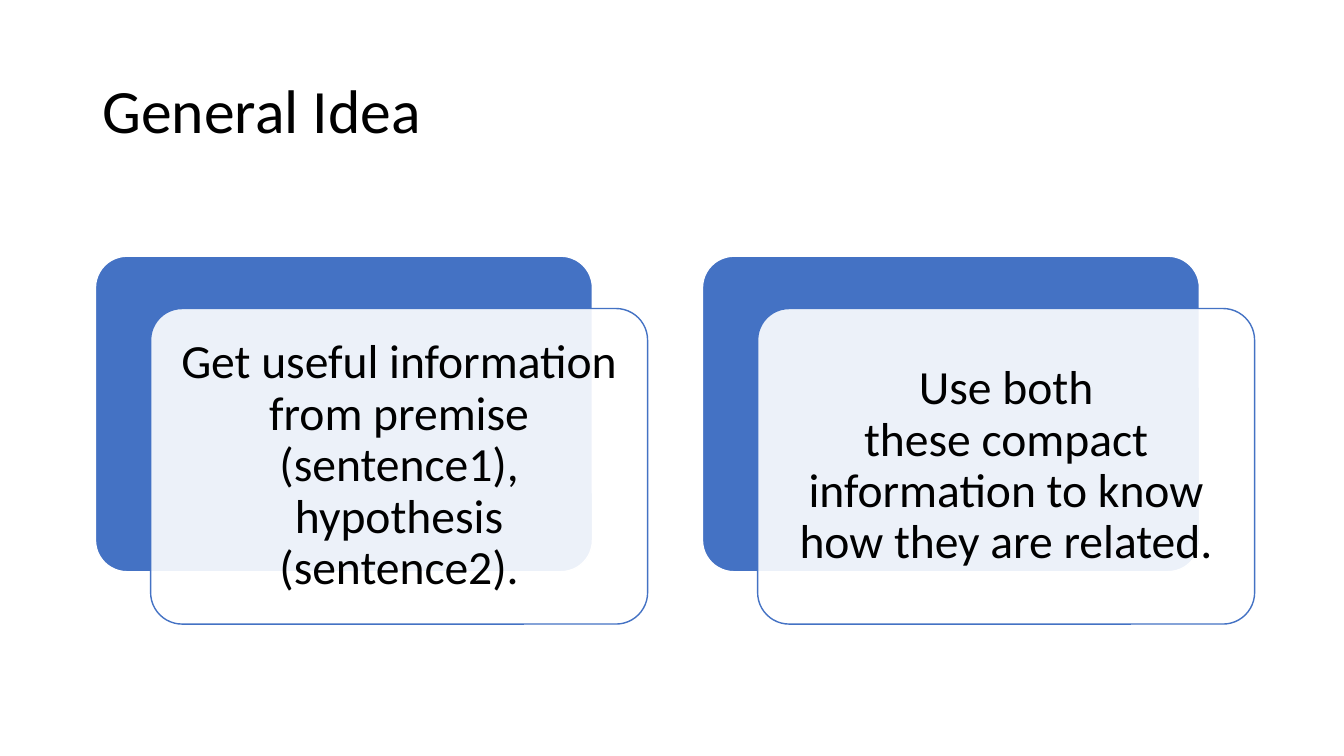
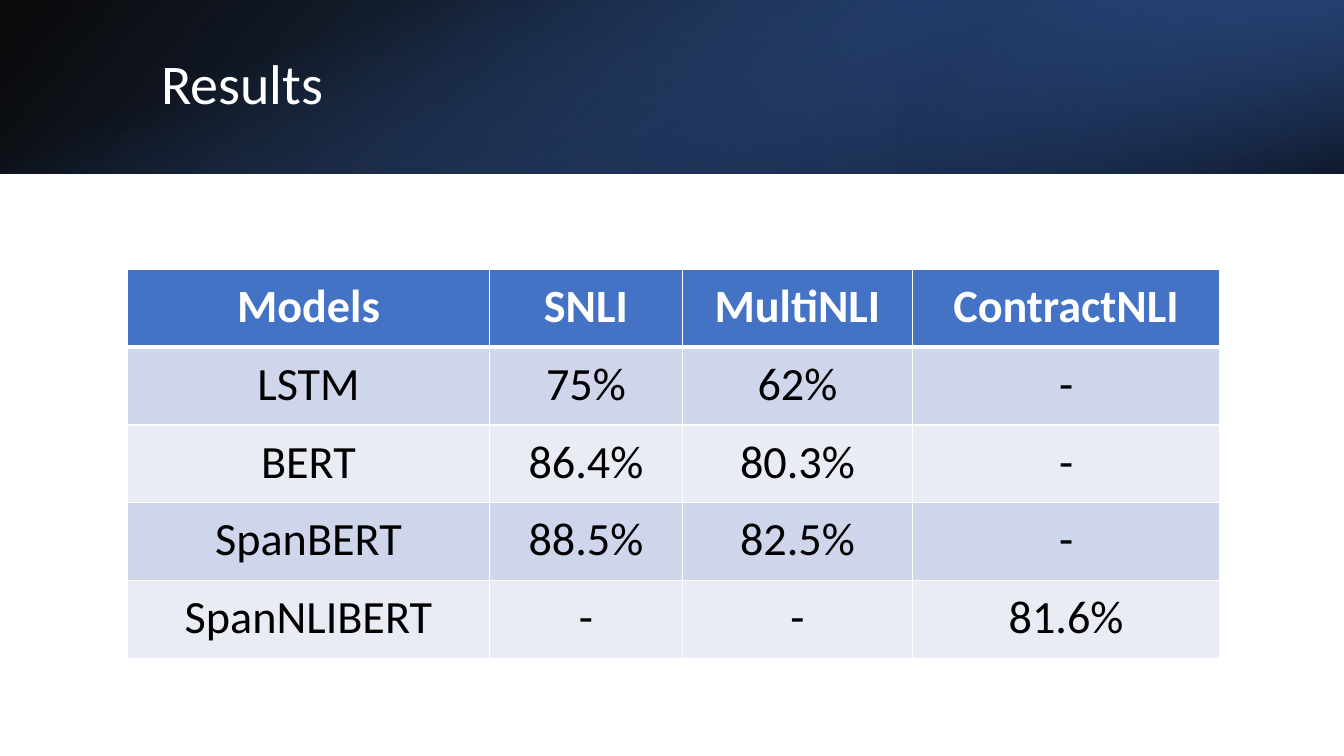
from lxml import etree
from pptx import Presentation
from pptx.dml.color import RGBColor
from pptx.enum.shapes import MSO_SHAPE
from pptx.enum.text import MSO_ANCHOR, MSO_AUTO_SIZE, PP_ALIGN
from pptx.oxml.ns import qn
from pptx.util import Pt

RECT, ROUND = MSO_SHAPE.RECTANGLE, MSO_SHAPE.ROUNDED_RECTANGLE
LEFT, CENTER = PP_ALIGN.LEFT, PP_ALIGN.CENTER
MIDDLE = MSO_ANCHOR.MIDDLE
NO_FIT = MSO_AUTO_SIZE.NONE

FONT = "Calibri"
NBSP = chr(160)
TITLE_ONLY = 5
WIDTH, HEIGHT = 960, 540
BAND_HEIGHT = 124
COLORS = {
    "black": "000000",
    "white": "FFFFFF",
    "blue": "4472C4",
    "deep": "2F5597",
    "navy": "203864",
    "row_dark": "CFD5EA",
    "row_light": "E9EBF5",
}

CARDS = [
    "Get useful information from premise (sentence1), hypothesis (sentence2).",
    f"Use both these{NBSP}compact information to know how they are related.",
]
RESULTS = [
    ["Models", "SNLI", "MultiNLI", "ContractNLI"],
    ["LSTM", "75%", "62%", "-"],
    ["BERT", "86.4%", "80.3%", "-"],
    ["SpanBERT", "88.5%", "82.5%", "-"],
    ["SpanNLIBERT", "-", "-", "81.6%"],
]
COLUMN_WIDTHS = [258.8, 137.6, 164.6, 219.2]
ROW_HEIGHT = 55.6


def rgb(name):
    return RGBColor.from_string(COLORS[name])


def add_text(tf, text, size, color="black", bold=False, align=LEFT, spacing=None):
    p = tf.paragraphs[0]
    p.alignment = align
    if spacing:
        p.line_spacing = spacing
    r = p.add_run()
    r.text = text
    r.font.name = FONT
    r.font.size = Pt(size)
    r.font.bold = bold
    r.font.color.rgb = rgb(color)


def set_title(s, text, box, size, color="black"):
    sp = s.shapes.title
    sp.left, sp.top, sp.width, sp.height = map(Pt, box)
    tf = sp.text_frame
    tf.word_wrap = True
    tf.auto_size = NO_FIT
    tf.vertical_anchor = MIDDLE
    add_text(tf, text, size, color, spacing=0.9)


def set_opacity(sp, *percents):
    for clr, percent in zip(sp.element.spPr.iter(qn("a:srgbClr")), percents):
        etree.SubElement(clr, qn("a:alpha")).set("val", str(percent * 1000))


def add_shape(s, kind, box):
    sp = s.shapes.add_shape(kind, *map(Pt, box))
    sp.shadow.inherit = False
    return sp


def add_panel(s, box, fill, line):
    sp = add_shape(s, ROUND, box)
    sp.adjustments[0] = 0.1
    sp.fill.solid()
    sp.fill.fore_color.rgb = rgb(fill)
    sp.line.color.rgb = rgb(line)
    sp.line.width = Pt(1)
    return sp


def add_card(s, left, top, text):
    width, height = 355, 225.4
    add_panel(s, (left, top, width, height), "blue", "white")
    sp = add_panel(s, (left + 39.4, top + 37.4, width, height), "white", "blue")
    set_opacity(sp, 90)
    tf = sp.text_frame
    tf.word_wrap = True
    tf.vertical_anchor = MIDDLE
    tf.margin_left = tf.margin_right = tf.margin_top = tf.margin_bottom = Pt(10)
    add_text(tf, text, 34, align=CENTER, spacing=0.9)


def add_band(s, box, angle, stops, rotation=0, flip=False):
    sp = add_shape(s, RECT, box)
    sp.line.fill.background()
    sp.rotation = rotation
    if flip:
        sp.element.spPr.find(qn("a:xfrm")).set("flipH", "1")
    sp.fill.gradient()
    sp.fill.gradient_angle = 360 - angle
    for stop, (position, color, _) in zip(sp.fill.gradient_stops, stops):
        stop.position = position / 100
        stop.color.rgb = rgb(color)
    set_opacity(sp, *(opacity for _, _, opacity in stops))


def add_header(s):
    add_band(s, (0, 0, WIDTH, BAND_HEIGHT), 140,
             [(0, "black", 96), (100, "deep", 100)], flip=True)
    add_band(s, (WIDTH * 2 / 3, 0, WIDTH / 3, BAND_HEIGHT), 320,
             [(19, "navy", 68), (100, "blue", 79)], rotation=180, flip=True)
    shift = (WIDTH - BAND_HEIGHT) / 2
    add_band(s, (shift, -shift, BAND_HEIGHT, WIDTH), 340,
             [(23, "blue", 0), (99, "black", 74)], rotation=90)
    title = s.shapes.title.element
    title.getparent().append(title)


def set_borders(cell, **widths):
    tcPr = cell._tc.get_or_add_tcPr()
    for side in "LRTB":
        ln = etree.SubElement(tcPr, qn(f"a:ln{side}"))
        ln.set("w", str(Pt(widths.get(side, 1))))
        fill = etree.SubElement(ln, qn("a:solidFill"))
        etree.SubElement(fill, qn("a:srgbClr")).set("val", COLORS["white"])


def format_cell(cell, text, row):
    header = row == 0
    set_borders(cell, T=3 if row == 1 else 1, B=3 if header else 1)
    cell.fill.solid()
    band = "row_dark" if row % 2 else "row_light"
    cell.fill.fore_color.rgb = rgb("blue" if header else band)
    cell.margin_left = cell.margin_right = Pt(13)
    cell.margin_top = cell.margin_bottom = Pt(6.5)
    add_text(cell.text_frame, text, 33, "white" if header else "black",
             bold=header, align=CENTER)


def add_results(s, left, top):
    size = (sum(COLUMN_WIDTHS), ROW_HEIGHT * len(RESULTS))
    table = s.shapes.add_table(len(RESULTS), len(COLUMN_WIDTHS),
                               *map(Pt, (left, top, *size))).table
    for column, width in zip(table.columns, COLUMN_WIDTHS):
        column.width = Pt(width)
    for i, values in enumerate(RESULTS):
        table.rows[i].height = Pt(ROW_HEIGHT)
        for j, value in enumerate(values):
            format_cell(table.cell(i, j), value, i)


def main():
    prs = Presentation()
    prs.slide_width, prs.slide_height = Pt(WIDTH), Pt(HEIGHT)
    layout = prs.slide_layouts[TITLE_ONLY]

    s = prs.slides.add_slide(layout)
    set_title(s, "General Idea", (66, 28.8, 828, 104.4), 44)
    for i, text in enumerate(CARDS):
        add_card(s, 68.2 + i * 433.6, 183, text)

    s = prs.slides.add_slide(layout)
    add_header(s)
    set_title(s, "Results", (108, 27.4, 790.6, 69), 40, "white")
    add_results(s, 91, 192.4)

    prs.save("out.pptx")


if __name__ == "__main__":
    main()
